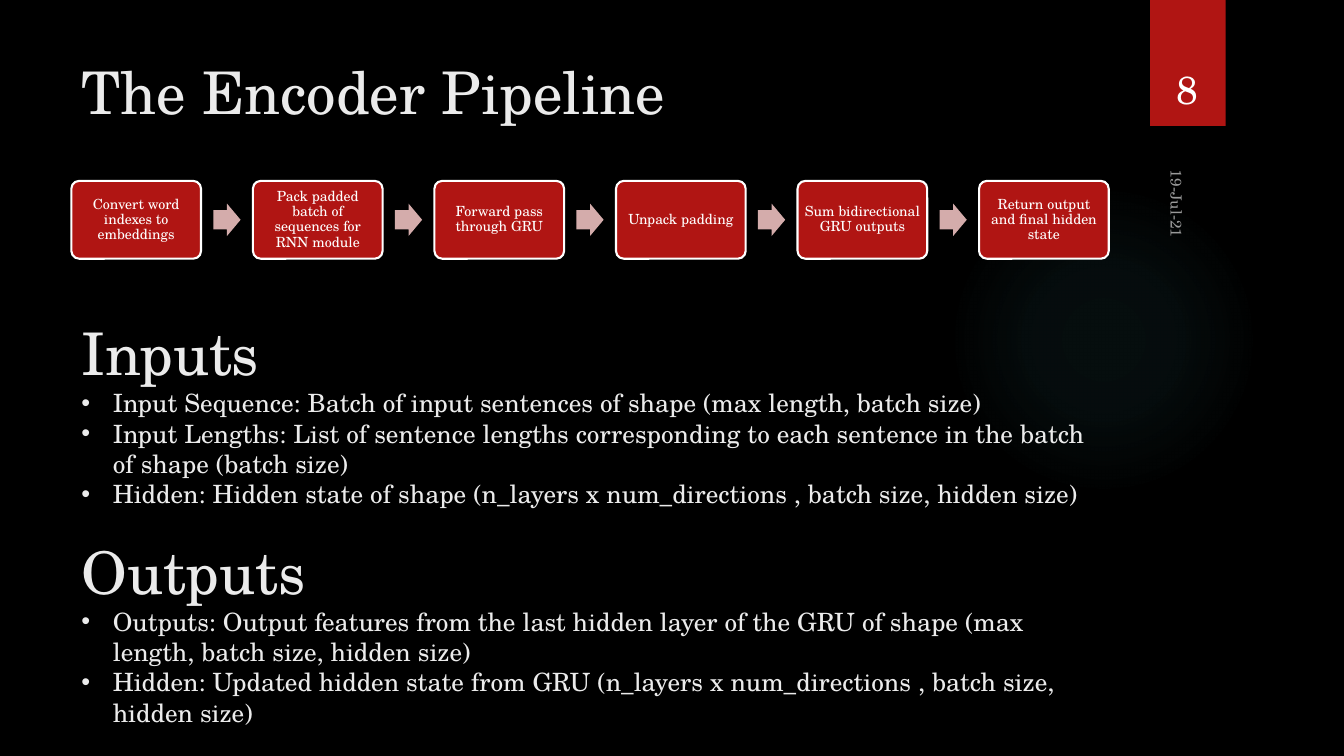
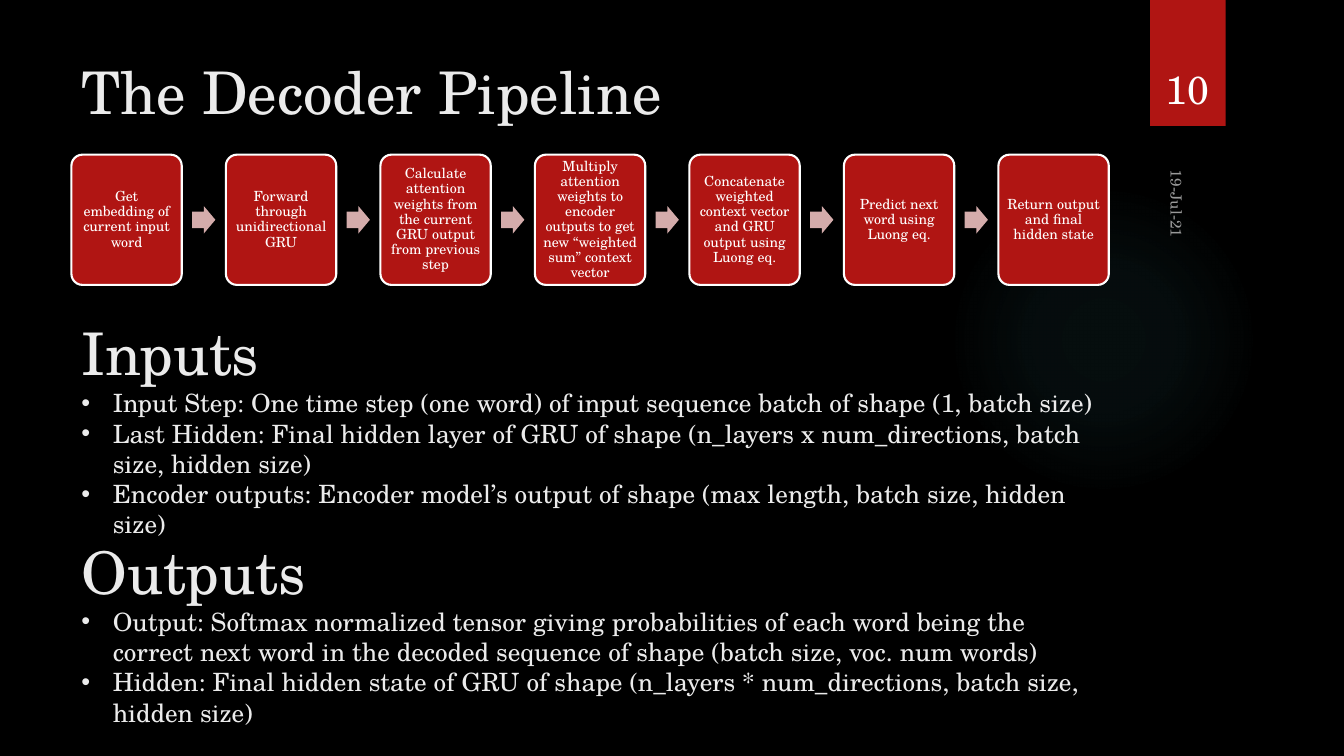
from pptx import Presentation
from pptx.dml.color import RGBColor
from pptx.enum.shapes import MSO_SHAPE
from pptx.enum.text import MSO_ANCHOR, PP_ALIGN
from pptx.oxml import parse_xml
from pptx.oxml.ns import nsdecls, qn
from pptx.util import Pt
from lxml.etree import SubElement

FONT = "TeX Gyre Schola"
BLACK, WHITE, INK = "000000", "FFFFFF", "EBEBEB"
RED, PINK, TEAL = "B01513", "D4ACAB", "50B9C1"
LEFT, WIDTH = 51, 741
HEADING_SIZE = 42
GLOW_STOPS = [(0, 7), (36, 6), (69, 0)]

PIPELINES = [
    {
        "title": "The Encoder Pipeline",
        "number": 8,
        "step_ratio": 0.6,
        "steps": [
            "Convert word indexes to embeddings",
            "Pack padded batch of sequences for RNN module",
            "Forward pass through GRU",
            "Unpack padding",
            "Sum bidirectional GRU outputs",
            "Return output and final hidden state",
        ],
        "inputs": [
            "Input Sequence: Batch of input sentences of shape (max length, batch size)",
            "Input Lengths: List of sentence lengths corresponding to each sentence "
            "in the batch of shape (batch size)",
            "Hidden: Hidden state of shape (n_layers x num_directions , batch size, hidden size)",
        ],
        "outputs": [
            "Outputs: Output features from the last hidden layer of the GRU of shape "
            "(max length, batch size, hidden size)",
            "Hidden: Updated hidden state from GRU (n_layers x num_directions , "
            "batch size, hidden size)",
        ],
    },
    {
        "title": "The Decoder Pipeline",
        "number": 10,
        "step_ratio": 1.18,
        "steps": [
            "Get embedding of current input word",
            "Forward through unidirectional GRU",
            "Calculate attention weights from the current GRU output from previous step",
            "Multiply attention weights to encoder outputs to get new “weighted sum” context vector",
            "Concatenate weighted context vector and GRU output using Luong eq.",
            "Predict next word using Luong eq.",
            "Return output and final hidden state",
        ],
        "inputs": [
            "Input Step: One time step (one word) of input sequence batch of shape (1, batch size)",
            "Last Hidden: Final hidden layer of GRU of shape (n_layers x num_directions, "
            "batch size, hidden size)",
            "Encoder outputs: Encoder model’s output of shape (max length, batch size, hidden size)",
        ],
        "outputs": [
            "Output: Softmax normalized tensor giving probabilities of each word being the "
            "correct next word in the decoded sequence of shape (batch size, voc. num words)",
            "Hidden: Final hidden state of GRU of shape (n_layers * num_directions, "
            "batch size, hidden size)",
        ],
    },
]


def rgb(hex_color):
    return RGBColor.from_string(hex_color)


def write(frame, text, size=18, color=INK, align=PP_ALIGN.LEFT, spacing=None,
          bullet=False, opacity=None):
    first = frame.paragraphs[0]
    paragraph = frame.add_paragraph() if first.runs else first
    paragraph.alignment = align
    if spacing:
        paragraph.line_spacing = spacing
    if bullet:
        properties = paragraph._p.get_or_add_pPr()
        properties.set("marL", str(Pt(22.5)))
        properties.set("indent", str(-Pt(22.5)))
        SubElement(properties, qn("a:buFont"), typeface="Arial")
        SubElement(properties, qn("a:buChar"), char="•")
    run = paragraph.add_run()
    run.text = text
    run.font.name = FONT
    run.font.size = Pt(size)
    run.font.color.rgb = rgb(color)
    if opacity:
        tint = run._r.rPr.find(".//" + qn("a:srgbClr"))
        SubElement(tint, qn("a:alpha"), val=str(opacity * 1000))


def add_frame(slide, left, top, width, height, anchor=MSO_ANCHOR.TOP, rotation=0):
    box = slide.shapes.add_textbox(Pt(left), Pt(top), Pt(width), Pt(height))
    box.rotation = rotation
    box.text_frame.word_wrap = True
    box.text_frame.vertical_anchor = anchor
    return box.text_frame


def add_block(slide, preset, left, top, width, height, fill=None, line=None, adjust=()):
    block = slide.shapes.add_shape(preset, Pt(left), Pt(top), Pt(width), Pt(height))
    block.shadow.inherit = False
    for index, value in enumerate(adjust):
        block.adjustments[index] = value
    if fill:
        block.fill.solid()
        block.fill.fore_color.rgb = rgb(fill)
    if line:
        block.line.color.rgb = rgb(line)
        block.line.width = Pt(1.5)
    else:
        block.line.fill.background()
    return block


def add_glow(slide, left, top, size):
    glow = add_block(slide, MSO_SHAPE.OVAL, left, top, size, size)
    glow.fill.background()
    stops = "".join(
        f'<a:gs pos="{position * 1000}"><a:srgbClr val="{TEAL}">'
        f'<a:alpha val="{alpha * 1000}"/></a:srgbClr></a:gs>'
        for position, alpha in GLOW_STOPS
    )
    gradient = parse_xml(
        f'<a:gradFill {nsdecls("a")} rotWithShape="1"><a:gsLst>{stops}</a:gsLst>'
        '<a:path path="circle"><a:fillToRect l="50000" t="50000" r="50000" b="50000"/>'
        '</a:path></a:gradFill>'
    )
    properties = glow._element.spPr
    properties.replace(properties.find(qn("a:noFill")), gradient)


def add_number_band(slide, number, left, top, width, height):
    band = add_block(slide, MSO_SHAPE.RECTANGLE, left, top, width, height, fill=RED)
    effects = band._element.spPr.find(qn("a:effectLst"))
    effects.append(parse_xml(
        f'<a:outerShdw {nsdecls("a")} blurRad="{Pt(3)}" dist="{Pt(2)}" dir="5400000">'
        f'<a:srgbClr val="{BLACK}"><a:alpha val="45000"/></a:srgbClr></a:outerShdw>'
    ))
    label = add_frame(slide, left - 6.5, top + 23, width + 12, height - 29.5,
                      anchor=MSO_ANCHOR.BOTTOM)
    write(label, str(number), size=28, color=WHITE, align=PP_ALIGN.CENTER)


def add_decor(slide, title, number):
    add_glow(slide, 677.5, 132, 221.5)
    add_number_band(slide, number, 821.5, 0, 54, 90)
    write(add_frame(slide, LEFT, 36, WIDTH, 110), title, size=HEADING_SIZE)
    date = add_frame(slide, 800, 141, 77.5, 24, rotation=90)
    write(date, "19-Jul-21", size=11, color=WHITE, opacity=60)


def add_flow(slide, steps, step_ratio, left, middle, width):
    step_width = width / (1.4 * len(steps) - 0.4)
    step_height = step_ratio * step_width
    gap = 0.4 * step_width
    arrow_width, arrow_height = 0.21 * step_width, 0.25 * step_width
    for index, step in enumerate(steps):
        x = left + index * (step_width + gap)
        if index:
            add_block(slide, MSO_SHAPE.RIGHT_ARROW, x - (gap + arrow_width) / 2,
                      middle - arrow_height / 2, arrow_width, arrow_height,
                      fill=PINK, adjust=(0.6, 0.5))
        card = add_block(slide, MSO_SHAPE.ROUNDED_RECTANGLE, x, middle - step_height / 2,
                         step_width, step_height, fill=RED, line=WHITE, adjust=(0.1,))
        frame = card.text_frame
        frame.word_wrap = True
        frame.vertical_anchor = MSO_ANCHOR.MIDDLE
        frame.margin_left = frame.margin_right = Pt(3)
        frame.margin_top = frame.margin_bottom = Pt(3)
        write(frame, step, size=10, color=WHITE, align=PP_ALIGN.CENTER, spacing=0.9)


def add_section(slide, heading, items, left, top, width, height):
    frame = add_frame(slide, left, top, width, height)
    write(frame, heading, size=HEADING_SIZE)
    for item in items:
        write(frame, item, bullet=True)


def add_pipeline_slide(deck, pipeline):
    slide = deck.slides.add_slide(deck.slide_layouts[6])
    add_decor(slide, pipeline["title"], pipeline["number"])
    add_flow(slide, pipeline["steps"], pipeline["step_ratio"], LEFT, 157, WIDTH)
    add_section(slide, "Inputs", pipeline["inputs"], LEFT, 223, WIDTH, 156)
    add_section(slide, "Outputs", pipeline["outputs"], LEFT, 379, WIDTH, 156)


def main():
    deck = Presentation()
    deck.slide_width, deck.slide_height = Pt(960), Pt(540)
    backdrop = deck.slide_master.background.fill
    backdrop.solid()
    backdrop.fore_color.rgb = rgb(BLACK)
    for pipeline in PIPELINES:
        add_pipeline_slide(deck, pipeline)
    deck.save("out.pptx")


if __name__ == "__main__":
    main()
